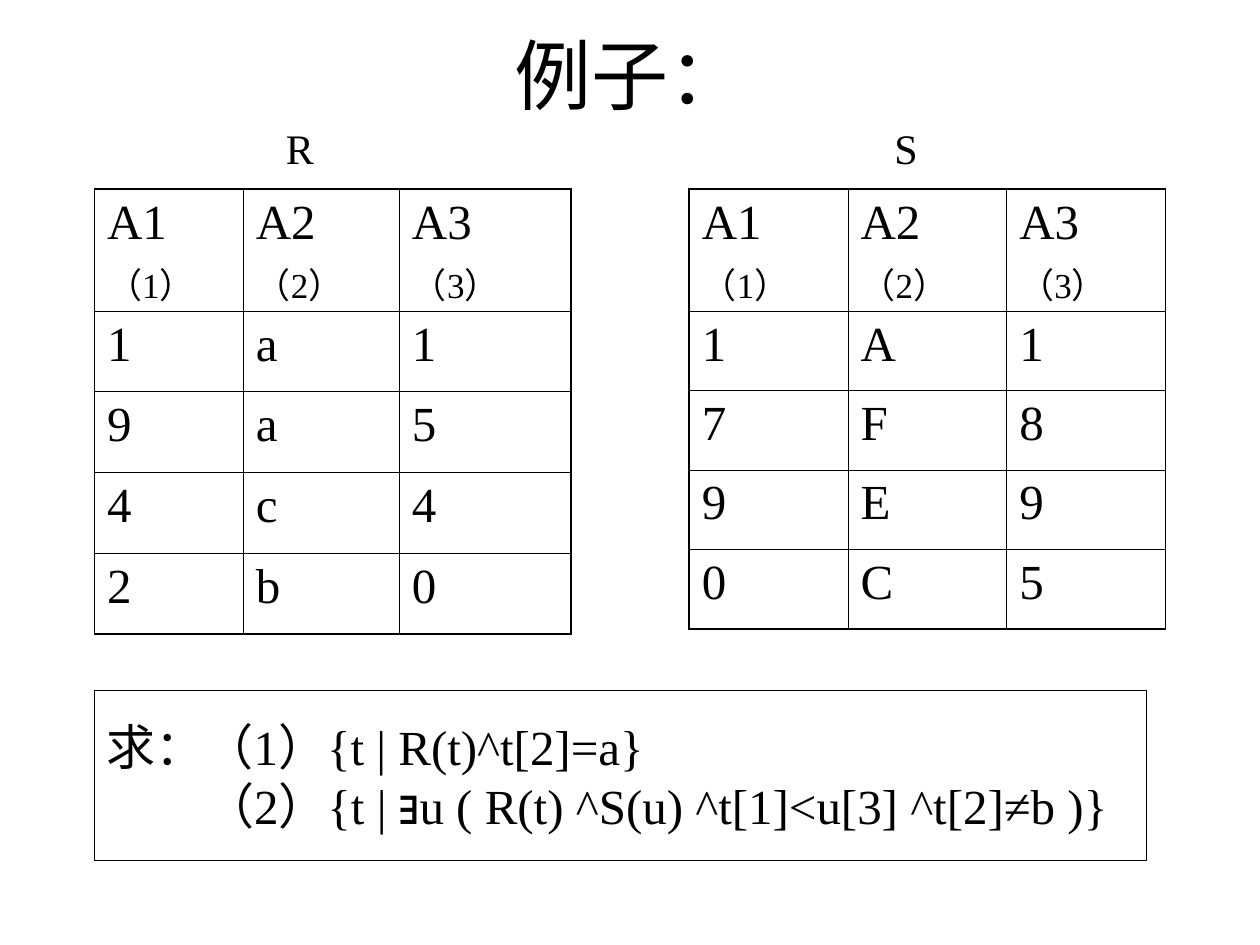
import pptx
import pptx.dml.color
import pptx.enum.shapes
import pptx.enum.text
import pptx.oxml.ns
import pptx.util
from lxml import etree

Inches = pptx.util.Inches
Pt = pptx.util.Pt
ALIGN = pptx.enum.text.PP_ALIGN
ANCHOR = pptx.enum.text.MSO_ANCHOR
BLACK = pptx.dml.color.RGBColor(0, 0, 0)
FONT = "Times New Roman"
SYMBOL_FONT = "Arial"
OUTER, INNER = 1.08, 0.45

TITLE = "例子："
HEADER = [("A1", "（1）"), ("A2", "（2）"), ("A3", "（3）")]
HEADER_HEIGHT = 0.97
TABLE_TOP = 1.5
RELATIONS = [
    dict(name="R", label_left=2.17, indent=0, left=0.75, widths=[1.18, 1.24, 1.36],
         row_height=0.64, rows=["1a1", "9a5", "4c4", "2b0"]),
    dict(name="S", label_left=6.42, indent=0.58, left=5.47, widths=[1.26, 1.26, 1.26],
         row_height=0.63, rows=["1A1", "7F8", "9E9", "0C5"]),
]
FIRST_QUERY = "求：（1）{t | R(t)^t[2]=a}"
SECOND_QUERY = ["（2）{t | ", "∃", "u ( R(t) ^S(u) ^t[1]<u[3] ^t[2]≠b )}"]


def write(para, text, size=28, font=FONT, bold=False, before=0, indent=0, align=ALIGN.LEFT):
    """Append a formatted span to a paragraph and set the paragraph's layout."""
    para.alignment = align
    para.space_before = Pt(before)
    if indent:
        properties = para._p.get_or_add_pPr()
        properties.set("marL", str(Inches(indent)))
        properties.set("indent", "0")
    span = para.add_run()
    span.text = text
    span.font.size = Pt(size)
    span.font.name = font
    span.font.bold = bold
    span.font.color.rgb = BLACK


def add_text(page, text, left, top, width, height, anchor=ANCHOR.TOP, **style):
    box = page.shapes.add_textbox(Inches(left), Inches(top), Inches(width), Inches(height))
    box.text_frame.word_wrap = True
    box.text_frame.vertical_anchor = anchor
    write(box.text_frame.paragraphs[0], text, **style)


def set_border(cell, side, points):
    properties = cell._tc.get_or_add_tcPr()
    line = etree.SubElement(properties, pptx.oxml.ns.qn("a:ln" + side), w=str(Pt(points)))
    fill = etree.SubElement(line, pptx.oxml.ns.qn("a:solidFill"))
    etree.SubElement(fill, pptx.oxml.ns.qn("a:srgbClr"), val=str(BLACK))


def add_relation(page, relation):
    content = [HEADER] + relation["rows"]
    widths = relation["widths"]
    heights = [HEADER_HEIGHT] + [relation["row_height"]] * len(relation["rows"])
    table = page.shapes.add_table(
        len(heights), len(widths), Inches(relation["left"]), Inches(TABLE_TOP),
        Inches(sum(widths)), Inches(sum(heights))).table
    table.first_row = table.horz_banding = False
    for column, width in zip(table.columns, widths):
        column.width = Inches(width)
    for r, (row, values) in enumerate(zip(table.rows, content)):
        row.height = Inches(heights[r])
        for c, (cell, value) in enumerate(zip(row.cells, values)):
            edges = {"L": c == 0, "R": c == len(widths) - 1,
                     "T": r == 0, "B": r == len(heights) - 1}
            for side, is_outer in edges.items():
                set_border(cell, side, OUTER if is_outer else INNER)
            cell.fill.background()
            frame = cell.text_frame
            write(frame.paragraphs[0], value[0], before=7)
            if r == 0:
                write(frame.add_paragraph(), value[1], size=20, before=5)


def add_queries(page):
    box = page.shapes.add_shape(
        pptx.enum.shapes.MSO_SHAPE.RECTANGLE,
        Inches(0.75), Inches(5.48), Inches(8.35), Inches(1.35))
    box.shadow.inherit = False
    box.fill.background()
    box.line.color.rgb = BLACK
    box.line.width = Pt(0.75)
    frame = box.text_frame
    frame.word_wrap = False
    frame.vertical_anchor = ANCHOR.MIDDLE
    write(frame.paragraphs[0], FIRST_QUERY)
    second = frame.add_paragraph()
    for text in SECOND_QUERY:
        symbol = text == "∃"
        write(second, text, font=SYMBOL_FONT if symbol else FONT, bold=symbol, indent=0.78)


def main():
    deck = pptx.Presentation()
    deck.slide_width, deck.slide_height = Inches(10), Inches(7.5)
    page = deck.slides.add_slide(deck.slide_layouts[6])
    add_text(page, TITLE, 0.75, 0.17, 8.5, 0.83, anchor=ANCHOR.MIDDLE,
             size=44, align=ALIGN.CENTER)
    for relation in RELATIONS:
        add_relation(page, relation)
    for relation in RELATIONS:
        add_text(page, relation["name"], relation["label_left"], 0.92, 1.34, 0.5,
                 size=24, before=15, indent=relation["indent"])
    add_queries(page)
    deck.save("out.pptx")


if __name__ == "__main__":
    main()
